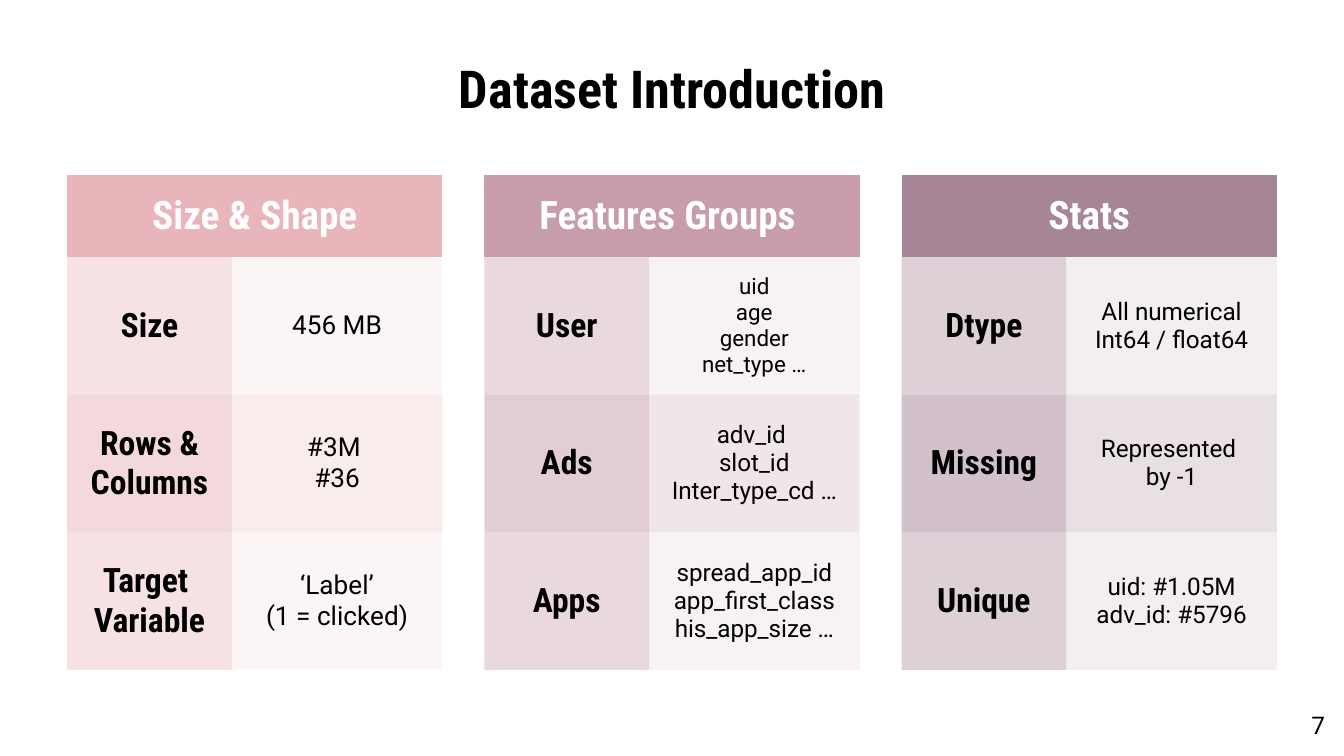
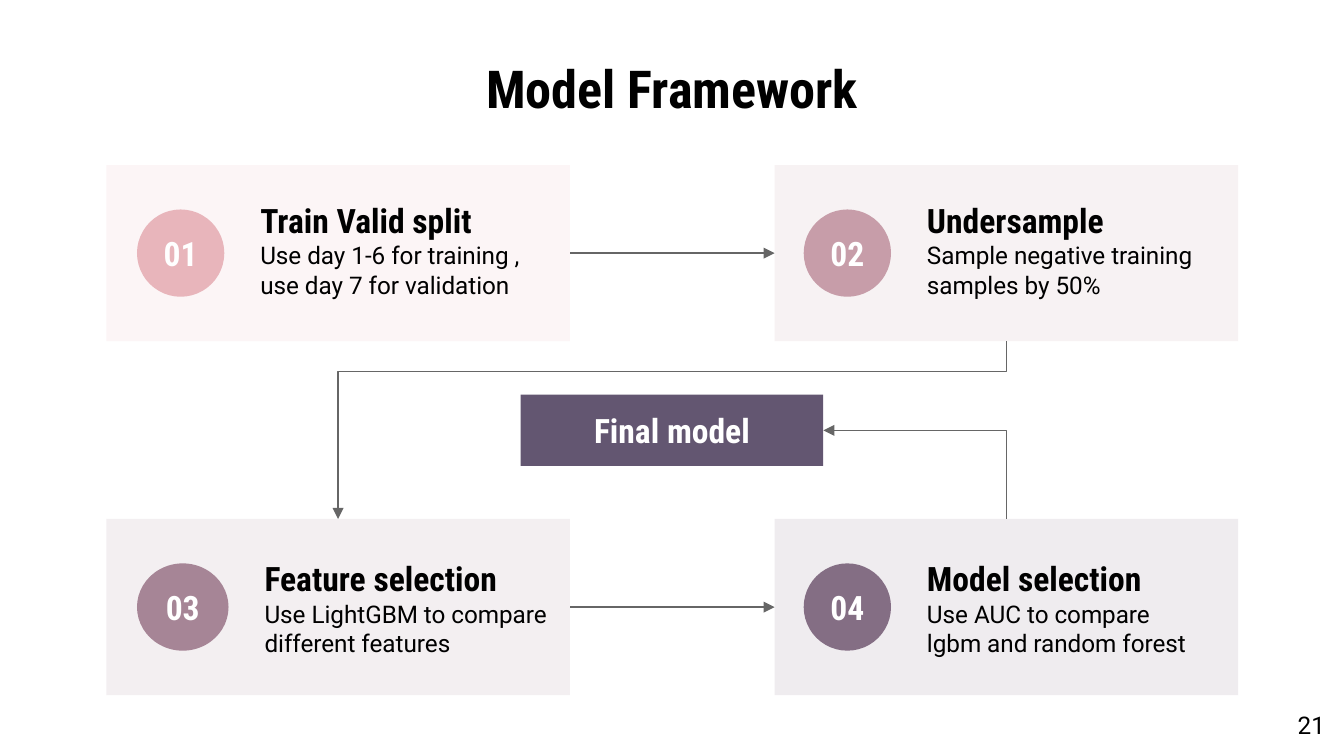
from lxml.etree import SubElement
from pptx import Presentation
from pptx.dml.color import RGBColor
from pptx.enum.shapes import MSO_CONNECTOR, MSO_SHAPE
from pptx.enum.text import MSO_ANCHOR, MSO_AUTO_SIZE, PP_ALIGN
from pptx.oxml.ns import qn
from pptx.util import Cm, Pt

BODY_FONT, HEADING_FONT = "Roboto", "Roboto Condensed"
BLACK, WHITE, GREY = "000000", "FFFFFF", "666666"
ROSE, MAUVE, PLUM, PURPLE, INDIGO = "E8B5BB", "C79DA9", "A68596", "846E84", "635671"
PALE = 13
INSET = 0.25
NO_STYLE = "{2D5ABB26-0587-4C30-8999-92F81FD0307C}"
TOP, LEFT, BOTTOM, RIGHT = range(4)

DATASET_TABLES = [
    ("Size & Shape", ROSE, [
        ("Size", "456 MB", 14),
        ("Rows & Columns", "#3M \n#36", 14),
        ("Target \nVariable", "‘Label’\n(1 = clicked)", 14),
    ]),
    ("Features Groups ", MAUVE, [
        ("User", "uid\nage\ngender\nnet_type …", 12),
        ("Ads", "adv_id \nslot_id\nInter_type_cd …", 13),
        ("Apps", "spread_app_id\napp_first_class\nhis_app_size …", 13),
    ]),
    ("Stats", PLUM, [
        ("Dtype", "All numerical\nInt64 / float64", 13),
        ("Missing", "Represented \nby -1", 13),
        ("Unique", "uid: #1.05M\nadv_id: #5796", 13),
    ]),
]
ROW_OPACITIES = [(38, PALE), (50, 25), (38, PALE)]
TABLE_LEFT, TABLE_TOP, TABLE_AREA = 1.27, 3.3, 22.86
COLUMN_WIDTHS = (3.11, 3.98)
HEADER_HEIGHT, ROW_HEIGHT = 1.56, 2.6

STEPS = [
    dict(heading="Train Valid split", body="Use day 1-6 for training , use day 7 for validation",
         color=ROSE, circle_width=1.65, text_offset=2.66, text_width=5.72),
    dict(heading="Undersample", body="Sample negative training samples by 50%",
         color=MAUVE, circle_width=1.65, text_offset=2.63, text_width=5.72),
    dict(heading="Feature selection", body="Use LightGBM to compare different features",
         color=PLUM, circle_width=1.73, text_offset=2.74, text_width=6),
    dict(heading="Model selection", body="Use AUC to compare lgbm and random forest",
         color=PURPLE, circle_width=1.65, text_offset=2.63, text_width=5.72),
]
CARD_LEFTS, CARD_TOPS = (2.01, 14.64), (3.12, 9.81)
CARD_WIDTH, CARD_HEIGHT = 8.76, 3.33
CIRCLE_OFFSETS, CIRCLE_HEIGHT = (0.58, 0.55), 1.65
HEADING_OFFSETS, HEADING_HEIGHT, BODY_HEIGHT = (0.65, 0.74), 0.77, 1.12


def rgb(color):
    return RGBColor.from_string(color)


def paint(target, element, color, opacity=100):
    target.fill.solid()
    target.fill.fore_color.rgb = rgb(color)
    if opacity < 100:
        alpha = SubElement(next(element.iter(qn("a:srgbClr"))), qn("a:alpha"))
        alpha.set("val", str(opacity * 1000))


def write(frame, text, size, font=BODY_FONT, color=BLACK, align=PP_ALIGN.LEFT):
    frame.text = text
    for para in frame.paragraphs:
        para.alignment = align
        for span in para.runs:
            span.font.size = Pt(size)
            span.font.name = font
            span.font.bold = font == HEADING_FONT
            span.font.color.rgb = rgb(color)


def set_margins(target):
    target.margin_left = target.margin_right = Cm(INSET)
    target.margin_top = target.margin_bottom = Cm(INSET)


def fit_frame(frame, anchor=MSO_ANCHOR.MIDDLE, wrap=True):
    set_margins(frame)
    frame.auto_size = MSO_AUTO_SIZE.NONE
    frame.word_wrap = wrap
    frame.vertical_anchor = anchor


def add_text(shapes, place, text, size, anchor=MSO_ANCHOR.MIDDLE, **style):
    box = shapes.add_textbox(*map(Cm, place))
    fit_frame(box.text_frame, anchor)
    write(box.text_frame, text, size, **style)


def add_block(shapes, kind, place, color, opacity=100, label=""):
    block = shapes.add_shape(kind, *map(Cm, place))
    block.shadow.inherit = False
    block.line.fill.background()
    paint(block, block.element, color, opacity)
    if label:
        fit_frame(block.text_frame, wrap=False)
        write(block.text_frame, label, 18, HEADING_FONT, WHITE, PP_ALIGN.CENTER)
    return block


def add_page(deck, title, number):
    page = deck.slides.add_slide(deck.slide_layouts[5])
    heading = page.shapes.title
    heading.left, heading.top, heading.width, heading.height = map(Cm, (1.27, 1.14, 22.86, 1.04))
    fit_frame(heading.text_frame)
    write(heading.text_frame, title, 28, HEADING_FONT, align=PP_ALIGN.CENTER)
    add_text(page.shapes, (23.77, 13.18, 1.52, 1.09), str(number), 13,
             MSO_ANCHOR.TOP, align=PP_ALIGN.RIGHT)
    return page


def fill_cell(cell, text, size, font, text_color, color, opacity=100):
    paint(cell, cell._tc, color, opacity)
    set_margins(cell)
    cell.vertical_anchor = MSO_ANCHOR.MIDDLE
    write(cell.text_frame, text, size, font, text_color, PP_ALIGN.CENTER)


def add_dataset_table(page, left, header, color, rows):
    width, height = sum(COLUMN_WIDTHS), HEADER_HEIGHT + len(rows) * ROW_HEIGHT
    frame = page.shapes.add_table(len(rows) + 1, 2, *map(Cm, (left, TABLE_TOP, width, height)))
    table = frame.table
    table.first_row = table.horz_banding = False
    frame.element.find(".//" + qn("a:tableStyleId")).text = NO_STYLE
    for column, column_width in zip(table.columns, COLUMN_WIDTHS):
        column.width = Cm(column_width)
    for index, row in enumerate(table.rows):
        row.height = Cm(ROW_HEIGHT if index else HEADER_HEIGHT)
    table.cell(0, 0).merge(table.cell(0, 1))
    fill_cell(table.cell(0, 0), header, 21, HEADING_FONT, WHITE, color)
    for index, ((name, value, size), opacities) in enumerate(zip(rows, ROW_OPACITIES), 1):
        fill_cell(table.cell(index, 0), name, 18, HEADING_FONT, BLACK, color, opacities[0])
        fill_cell(table.cell(index, 1), value, size, BODY_FONT, BLACK, color, opacities[1])


def add_step(page, index, step):
    row, column = divmod(index, 2)
    left, top = CARD_LEFTS[column], CARD_TOPS[row]
    card = add_block(page.shapes, MSO_SHAPE.RECTANGLE, (left, top, CARD_WIDTH, CARD_HEIGHT),
                     step["color"], PALE)
    content = page.shapes.add_group_shape().shapes
    text_left, text_width = left + step["text_offset"], step["text_width"]
    heading_top = top + HEADING_OFFSETS[row]
    add_text(content, (text_left, heading_top, text_width, HEADING_HEIGHT),
             step["heading"], 18, font=HEADING_FONT)
    add_text(content, (text_left, heading_top + HEADING_HEIGHT, text_width, BODY_HEIGHT),
             step["body"], 13)
    circle_top = top + (CARD_HEIGHT - CIRCLE_HEIGHT) / 2
    add_block(content, MSO_SHAPE.OVAL,
              (left + CIRCLE_OFFSETS[column], circle_top, step["circle_width"], CIRCLE_HEIGHT),
              step["color"], label=f"{index + 1:02}")
    return card


def add_arrow(page, target, target_side, source, source_side, kind=MSO_CONNECTOR.STRAIGHT):
    arrow = page.shapes.add_connector(kind, 0, 0, 0, 0)
    arrow.begin_connect(target, target_side)
    arrow.end_connect(source, source_side)
    arrow.line.color.rgb = rgb(GREY)
    arrow.line.width = Pt(0.75)
    SubElement(arrow.line._get_or_add_ln(), qn("a:headEnd")).set("type", "triangle")
    SubElement(arrow.element.spPr, qn("a:effectLst"))
    return arrow


def turn_upright(arrow, bend):
    left, top, width, height = arrow.left, arrow.top, arrow.width, arrow.height
    arrow.left, arrow.top = left + (width - height) // 2, top + (height - width) // 2
    arrow.width, arrow.height = height, width
    frame = arrow.element.spPr.find(qn("a:xfrm"))
    frame.attrib.pop("flipV", None)
    frame.set("rot", str(270 * 60000))
    guide = SubElement(arrow.element.spPr.find(".//" + qn("a:avLst")), qn("a:gd"))
    guide.set("name", "adj1")
    guide.set("fmla", f"val {bend * 1000}")


def build_dataset_page(deck):
    page = add_page(deck, "Dataset Introduction", 7)
    width = sum(COLUMN_WIDTHS)
    pitch = (TABLE_AREA - width) / (len(DATASET_TABLES) - 1)
    for index, (header, color, rows) in enumerate(DATASET_TABLES):
        add_dataset_table(page, TABLE_LEFT + index * pitch, header, color, rows)


def build_framework_page(deck):
    page = add_page(deck, "Model Framework", 21)
    split, undersample, features, models = [
        add_step(page, index, step) for index, step in enumerate(STEPS)]
    final = add_block(page.shapes, MSO_SHAPE.RECTANGLE, (9.84, 7.46, 5.72, 1.35),
                      INDIGO, label="Final model")
    add_arrow(page, undersample, LEFT, split, RIGHT)
    add_arrow(page, models, LEFT, features, RIGHT)
    turn_upright(add_arrow(page, features, TOP, undersample, BOTTOM, MSO_CONNECTOR.ELBOW), 83)
    corner = add_arrow(page, final, RIGHT, models, TOP, MSO_CONNECTOR.ELBOW)
    corner.element.spPr.find(qn("a:prstGeom")).set("prst", "bentConnector2")


def main():
    deck = Presentation()
    deck.slide_width, deck.slide_height = Cm(25.4), Cm(14.29)
    build_dataset_page(deck)
    build_framework_page(deck)
    deck.save("out.pptx")


if __name__ == "__main__":
    main()
